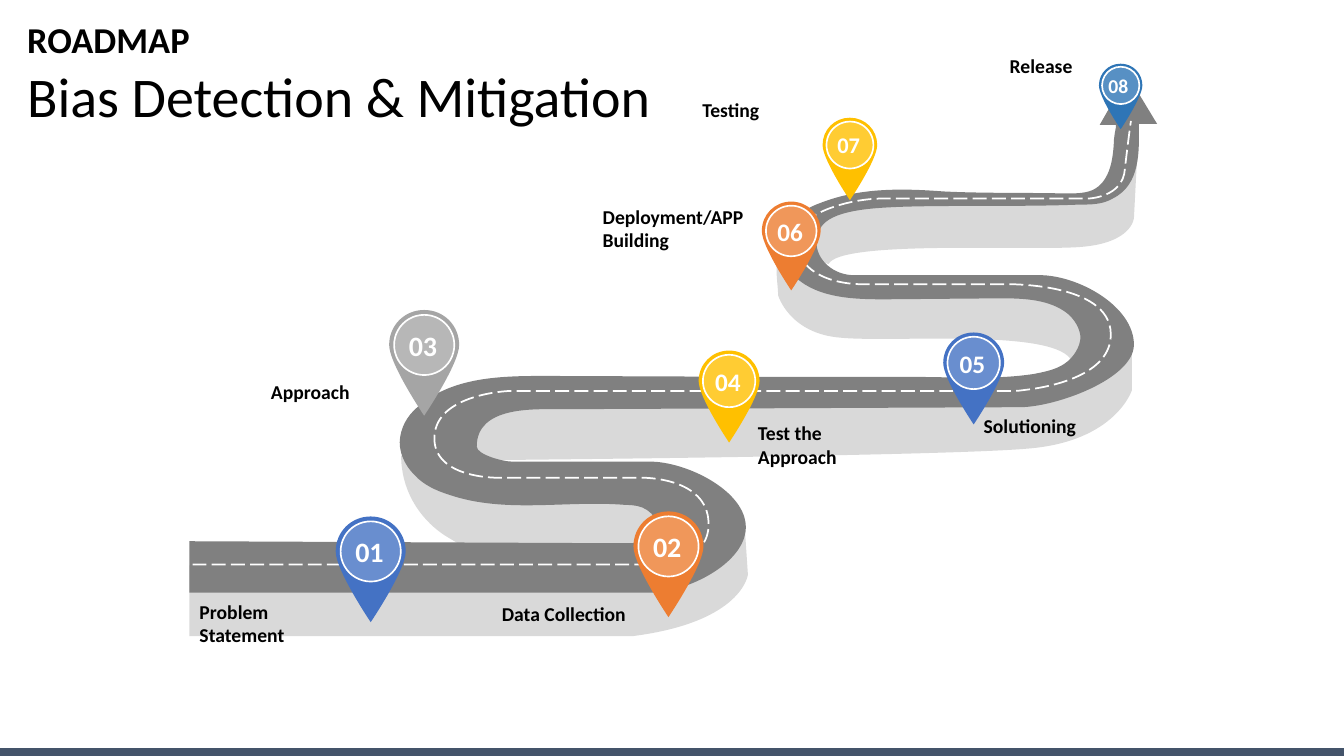
from pptx import Presentation
from pptx import util as u
from pptx.dml.color import RGBColor
from pptx.enum import dml, shapes, text
from pptx.oxml.ns import qn
from lxml import etree

BLACK = RGBColor(0x00, 0x00, 0x00)
WHITE = RGBColor(0xFF, 0xFF, 0xFF)
SLATE = RGBColor(0x44, 0x54, 0x6A)
ASPHALT = RGBColor(0x80, 0x80, 0x80)
SIDE = RGBColor(0xD9, 0xD9, 0xD9)
BLUE = RGBColor(0x44, 0x72, 0xC4)
ORANGE = RGBColor(0xED, 0x7D, 0x31)
GRAY = RGBColor(0xA5, 0xA5, 0xA5)
GOLD = RGBColor(0xFF, 0xC0, 0x00)
DEEP_BLUE = RGBColor(0x2E, 0x75, 0xB6)

FONT = "Calibri"
ANCHOR = text.MSO_ANCHOR
FIT = text.MSO_AUTO_SIZE

# Headings: placeholder index, text, box in points, font, paragraph, anchor
HEADINGS = [
    (0, "ROADMAP", (12.2, 12.2, 828, 34.6),
     {"size": u.Pt(26), "bold": True},
     {"line_spacing": 0.9}, ANCHOR.MIDDLE),
    (1, "Bias Detection & Mitigation", (12.2, 46, 530, 46),
     {"size": u.Pt(40), "bold": False},
     {"line_spacing": 0.9, "space_before": u.Pt(10)}, ANCHOR.TOP),
]

# Stages: number, label, (label left, top, width, lines), (pin centre, top, width), colour, size
STAGES = [
    ("01", "Problem Statement", (135.4, 424.8, 92.2, 2), (264.8, 368.9, 50), BLUE, 20),
    ("02", "Data Collection", (351.4, 426.5, 119.5, 1), (477.5, 365.3, 50), ORANGE, 20),
    ("03", "Approach", (186.5, 268, 95.8, 1), (303, 221.4, 50), GRAY, 20),
    ("04", "Test the Approach", (534.3, 297.4, 92.2, 2), (520.8, 250.4, 43.5), GOLD, 18),
    ("05", "Solutioning", (695.5, 291.8, 98, 1), (695.5, 237.5, 43.5), BLUE, 18),
    ("06", "Deployment/APP Building", (423.4, 142.6, 125.3, 2), (565.2, 144, 42), ORANGE, 18),
    ("07", "Testing", (494.6, 66.5, 87.1, 1), (607.1, 84.1, 39), GOLD, 16),
    ("08", "Release", (714.2, 35.3, 72, 1), (800.5, 45.5, 31), DEEP_BLUE, 14),
]

# Road outlines in steps of 0.72 pt: two numbers draw a line, six a curve
STEP = 0.72
ROAD_SIDE = [
    (1129, 139), (1125, 216), (1125, 216, 1124, 241, 1072, 245),
    (1020, 249, 833, 238, 822, 262), (775, 243), (767, 263, 772, 280, 772, 293),
    (772, 293, 783, 331, 834, 335), (884, 340, 1041, 326, 1062, 356),
    (1123, 344), (1123, 387), (1123, 387, 1107, 438, 1020, 445),
    (933, 453, 426, 457, 426, 457), (398, 452), (398, 484, 414, 513, 441, 531),
    (470, 549, 508, 568, 541, 561), (603, 550, 667, 540, 667, 540),
    (739, 525), (742, 570), (742, 570, 737, 617, 628, 631), (188, 631),
    (188, 561), (557, 566), (662, 562), (674, 507), (643, 485), (559, 481),
    (487, 475), (463, 461), (448, 448), (456, 423), (487, 392), (555, 389),
    (699, 385), (815, 385), (967, 391), (1066, 375), (1089, 326), (1067, 297),
    (1038, 287), (869, 287), (800, 273), (788, 240), (802, 215), (836, 203),
    (897, 201), (1015, 202), (1071, 198), (1101, 192), (1117, 139),
]
ROAD_TOP = [
    (621, 539), (625, 539, 629, 539, 633, 538), (642, 536, 650, 532, 652, 524),
    (653, 517, 648, 510, 642, 506), (636, 502, 629, 501, 621, 501),
    (563, 496, 502, 510, 446, 491), (433, 487, 420, 481, 411, 471),
    (401, 461, 395, 447, 397, 434), (399, 420, 407, 409, 418, 401),
    (451, 374, 498, 373, 540, 373), (785, 374), (907, 374),
    (947, 374, 987, 377, 1026, 371), (1036, 369, 1047, 367, 1056, 361),
    (1065, 355, 1072, 344, 1072, 334), (1071, 325, 1066, 317, 1059, 311),
    (1041, 297, 1016, 296, 993, 296), (878, 297), (847, 297, 812, 296, 789, 275),
    (781, 268, 776, 260, 774, 250), (773, 238, 778, 227, 786, 219),
    (794, 210, 804, 205, 815, 201), (854, 186, 896, 187, 936, 190),
    (977, 192, 1017, 191, 1057, 192), (1068, 192, 1079, 192, 1087, 187),
    (1101, 178, 1104, 159, 1105, 143), (1105, 138, 1106, 132, 1107, 127),
    (1107, 124), (1091, 124), (1119, 75), (1148, 123),
    (1130, 123), (1130, 150, 1132, 183, 1104, 197),
    (1094, 203, 1082, 203, 1071, 203), (999, 206, 899, 202, 856, 208),
    (812, 214, 812, 229, 810, 240), (810, 259, 828, 273, 847, 273), (1031, 273),
    (1070, 273, 1125, 304, 1125, 342), (1125, 376, 1047, 404, 1012, 404),
    (556, 406), (529, 406, 473, 403, 473, 443), (473, 451, 499, 458, 508, 458),
    (645, 458), (681, 458, 740, 487, 740, 523), (740, 559, 681, 588, 645, 588),
    (188, 588), (188, 537),
]
LANE = [
    (191, 560), (637, 560), (638, 560, 640, 560, 641, 560),
    (651, 561, 704, 560, 703, 519), (702, 473, 637, 474, 637, 474), (494, 474),
    (494, 474, 429, 475, 431, 433), (433, 391, 504, 388, 504, 388), (997, 388),
    (1004, 388, 1010, 388, 1016, 387), (1043, 384, 1103, 372, 1102, 331),
    (1101, 279, 995, 282, 995, 282), (854, 282), (854, 282, 800, 283, 791, 246),
    (786, 226, 805, 213, 825, 206), (842, 200, 860, 197, 877, 197), (1080, 197),
    (1080, 197, 1114, 196, 1116, 168), (1119, 141, 1122, 120, 1122, 120),
]
# Pin outline for a pin one unit wide, centred on x = 0
PIN = [
    (-0.5, 0.5), (-0.5, 0.77, 0, 1.51, 0, 1.51), (0, 1.51, 0.5, 0.77, 0.5, 0.5),
    (0.5, 0.22, 0.28, 0, 0, 0), (-0.28, 0, -0.5, 0.22, -0.5, 0.5),
]


def paint(shape, color):
    shape.shadow.inherit = False
    shape.fill.solid()
    shape.fill.fore_color.rgb = color
    shape.line.fill.background()
    return shape


def draw(outline, scale, left=0, top=0, close=True):
    """Build an outline, then bend the segments that have control points."""
    def place(x, y):
        return u.Pt(left + x * scale), u.Pt(top + y * scale)

    ends = [place(*part[-2:]) for part in outline]
    builder = page.shapes.build_freeform(*ends[0])
    builder.add_line_segments(ends[1:], close=close)
    shape = builder.convert_to_shape()
    segments = list(shape._element.iter(qn("a:lnTo")))
    for segment, part in zip(segments, outline[1:]):
        if len(part) == 6:
            segment.tag = qn("a:cubicBezTo")
            for i in (0, 1):
                x, y = place(*part[2 * i:2 * i + 2])
                control = etree.Element(qn("a:pt"))
                control.set("x", str(x - shape.left))
                control.set("y", str(y - shape.top))
                segment.insert(i, control)
    return shape


def write(box, words, font, color, paragraph=None, **frame):
    for name, value in frame.items():
        setattr(box.text_frame, name, value)
    para = box.text_frame.paragraphs[0]
    for name, value in (paragraph or {}).items():
        setattr(para, name, value)
    span = para.add_run()
    span.text = words
    for name, value in {"name": FONT, **font}.items():
        setattr(span.font, name, value)
    span.font.color.rgb = color


def add_text(words, bounds, size, color, **frame):
    box = page.shapes.add_textbox(*map(u.Pt, bounds))
    write(box, words, {"size": u.Pt(size), "bold": True}, color,
          auto_size=FIT.SHAPE_TO_FIT_TEXT, **frame)


deck = Presentation()
deck.slide_width, deck.slide_height = u.Pt(960), u.Pt(540)
page = deck.slides.add_slide(deck.slide_layouts[2])

# Headings
for index, words, bounds, font, paragraph, anchor in HEADINGS:
    holder = page.placeholders[index]
    holder.left, holder.top, holder.width, holder.height = map(u.Pt, bounds)
    write(holder, words, font, BLACK, paragraph, auto_size=FIT.NONE,
          vertical_anchor=anchor)

# Bottom bar
paint(page.shapes.add_shape(shapes.MSO_SHAPE.RECTANGLE, u.Pt(-0.7), u.Pt(534.4),
                            u.Pt(961.4), u.Pt(6.3)), SLATE)

# Road
road = [paint(draw(ROAD_SIDE, STEP), SIDE), paint(draw(ROAD_TOP, STEP), ASPHALT)]
lane = draw(LANE, STEP, close=False)
lane.shadow.inherit = False
lane.fill.background()
lane.line.color.rgb = WHITE
lane.line.width = u.Pt(1.25)
lane.line.dash_style = dml.MSO_LINE.LONG_DASH
page.shapes.add_group_shape(road + [lane])

# Stage labels, pins and numbers
for number, label, (left, top, width, lines), (centre, pin_top, pin_width), color, size in STAGES:
    add_text(label, (left, top, width, 7.2 + 17 * lines), 14, BLACK, word_wrap=True)

    pin = paint(draw(PIN, pin_width, centre, pin_top), color)
    ring_size = 0.86 * pin_width
    middle = pin_top + pin_width / 2
    ring = paint(page.shapes.add_shape(
        shapes.MSO_SHAPE.OVAL, u.Pt(centre - ring_size / 2), u.Pt(middle - ring_size / 2),
        u.Pt(ring_size), u.Pt(ring_size)), WHITE)
    tint = next(ring._element.spPr.iter(qn("a:srgbClr")))
    etree.SubElement(tint, qn("a:alpha")).set("val", "20000")
    ring.line.color.rgb = WHITE
    ring.line.width = u.Pt(1.2)
    page.shapes.add_group_shape([pin, ring])

    wide, high = 14.4 + 1.04 * size, 7.2 + 1.22 * size
    shift = 1.4 if number == "08" else 0.5
    add_text(number, (centre - shift - wide / 2, middle - high / 2, wide, high), size, WHITE,
             word_wrap=False, vertical_anchor=ANCHOR.MIDDLE)

deck.save("out.pptx")
